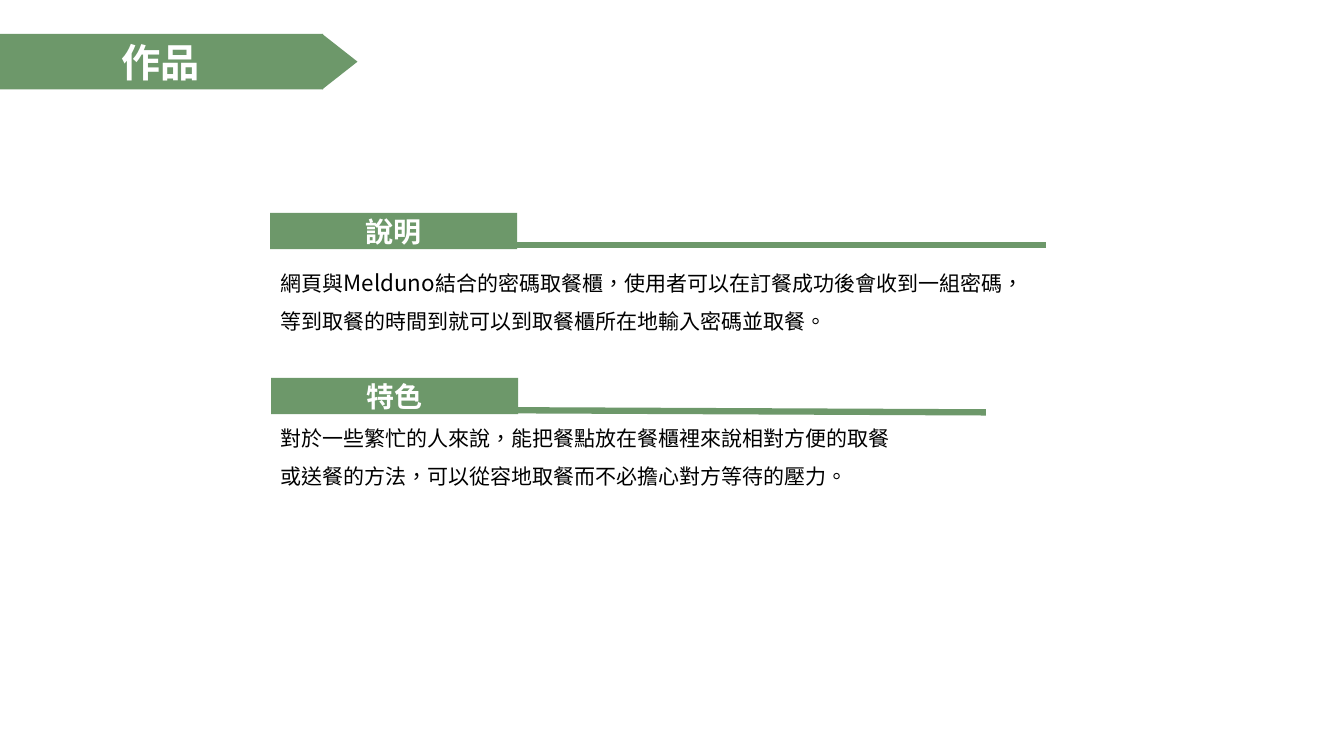
from lxml.etree import SubElement
from pptx import Presentation
from pptx.dml.color import RGBColor
from pptx.enum.shapes import MSO_CONNECTOR, MSO_SHAPE
from pptx.enum.text import MSO_ANCHOR, MSO_AUTO_SIZE, PP_ALIGN
from pptx.oxml.ns import qn
from pptx.util import Inches, Pt

COLORS = {"green": "6D986A", "white": "FFFFFF", "black": "000000"}
FONT = "Noto Sans CJK SC"
WIDTH, HEIGHT = Inches(13.33), Inches(7.5)


def color(name):
    return RGBColor.from_string(COLORS[name])


def write(shape, spans, *, ink="black", bold=False, align=PP_ALIGN.LEFT,
          anchor=MSO_ANCHOR.TOP, spacing=1.0):
    """Fill a shape with one paragraph made of (text, size) spans."""
    frame = shape.text_frame
    frame.word_wrap = True
    frame.vertical_anchor = anchor
    para = frame.paragraphs[0]
    para.alignment = align
    para.line_spacing = spacing
    for text, size in spans:
        span = para.add_run()
        span.text = text
        span.font.name = FONT
        span.font.size = Pt(size)
        span.font.bold = bold
        span.font.color.rgb = color(ink)
        properties = span.font._element
        properties.set("lang", "zh-TW")
        SubElement(properties, qn("a:ea")).set("typeface", FONT)


class SlideBuilder:
    """Places elements by percentages of the slide's width and height."""

    heading_style = dict(ink="white", bold=True, align=PP_ALIGN.CENTER,
                         anchor=MSO_ANCHOR.MIDDLE)

    def __init__(self, page):
        self.page = page

    def place(self, *shares):
        sides = (WIDTH, HEIGHT, WIDTH, HEIGHT)
        return [int(side * share / 100) for side, share in zip(sides, shares)]

    def block(self, kind, *area, rotation=0):
        shape = self.page.shapes.add_shape(kind, *self.place(*area))
        shape.shadow.inherit = False
        shape.fill.solid()
        shape.fill.fore_color.rgb = color("green")
        shape.line.fill.background()
        shape.rotation = rotation
        return shape

    def title(self, text, *area):
        box = self.page.shapes.add_textbox(*self.place(*area))
        write(box, [(text, 28)], **self.heading_style)

    def body(self, spans, *area):
        box = self.page.shapes.add_textbox(*self.place(*area))
        write(box, spans, spacing=1.5)
        box.text_frame.auto_size = MSO_AUTO_SIZE.SHAPE_TO_FIT_TEXT

    def rule(self, *ends):
        line = self.page.shapes.add_connector(MSO_CONNECTOR.STRAIGHT, *self.place(*ends))
        line.line.color.rgb = color("green")
        line.line.width = Pt(4.5)
        SubElement(line._element.spPr, qn("a:effectLst"))

    def heading(self, text, left, top, rule_end, rule_top, rule_bottom):
        width, height = 18.38, 4.8
        self.rule(left + width, rule_top, rule_end, rule_bottom)
        label = self.block(MSO_SHAPE.RECTANGLE, left, top, width, height)
        write(label, [(text, 20)], **self.heading_style)


def main():
    deck = Presentation()
    deck.slide_width, deck.slide_height = WIDTH, HEIGHT
    builder = SlideBuilder(deck.slides.add_slide(deck.slide_layouts[6]))

    # Title banner with its arrow tip
    builder.block(MSO_SHAPE.RECTANGLE, -0.08, 4.5, 24.12, 7.33)
    builder.block(MSO_SHAPE.ISOSCELES_TRIANGLE, 23.22, 5.83, 4.13, 4.67, rotation=90)
    builder.title("作品", 1.8, 5.33, 20.33, 5.6)

    # Description
    builder.body([
        ("網頁與", 15),
        ("Melduno", 16),
        ("結合的密碼取餐櫃，使用者可以在訂餐成功後會收到一組密碼，"
         "等到取餐的時間到就可以到取餐櫃所在地輸入密碼並取餐。", 15),
    ], 20.15, 33.2, 57.15, 11.73)
    builder.heading("說明", 20.1, 28.17, 77.85, 32.4, 32.4)

    # Features
    builder.body([
        ("對於一些繁忙的人來說，能把餐點放在餐櫃裡來說相對方便的取餐"
         "或送餐的方法，可以從容地取餐而不必擔心對方等待的壓力。", 15),
    ], 20.15, 54, 48.15, 10.8)
    builder.heading("特色", 20.18, 50, 73.35, 54.27, 54.55)

    deck.save("out.pptx")


if __name__ == "__main__":
    main()
